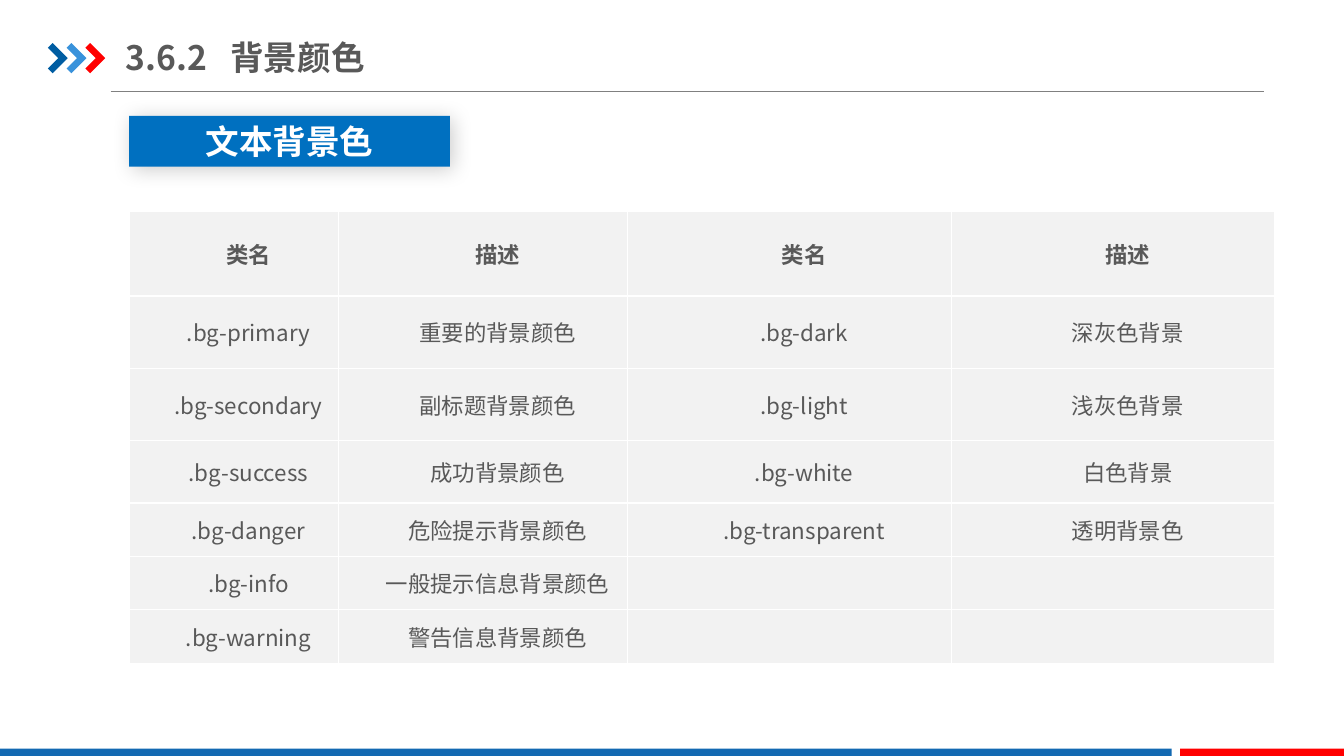
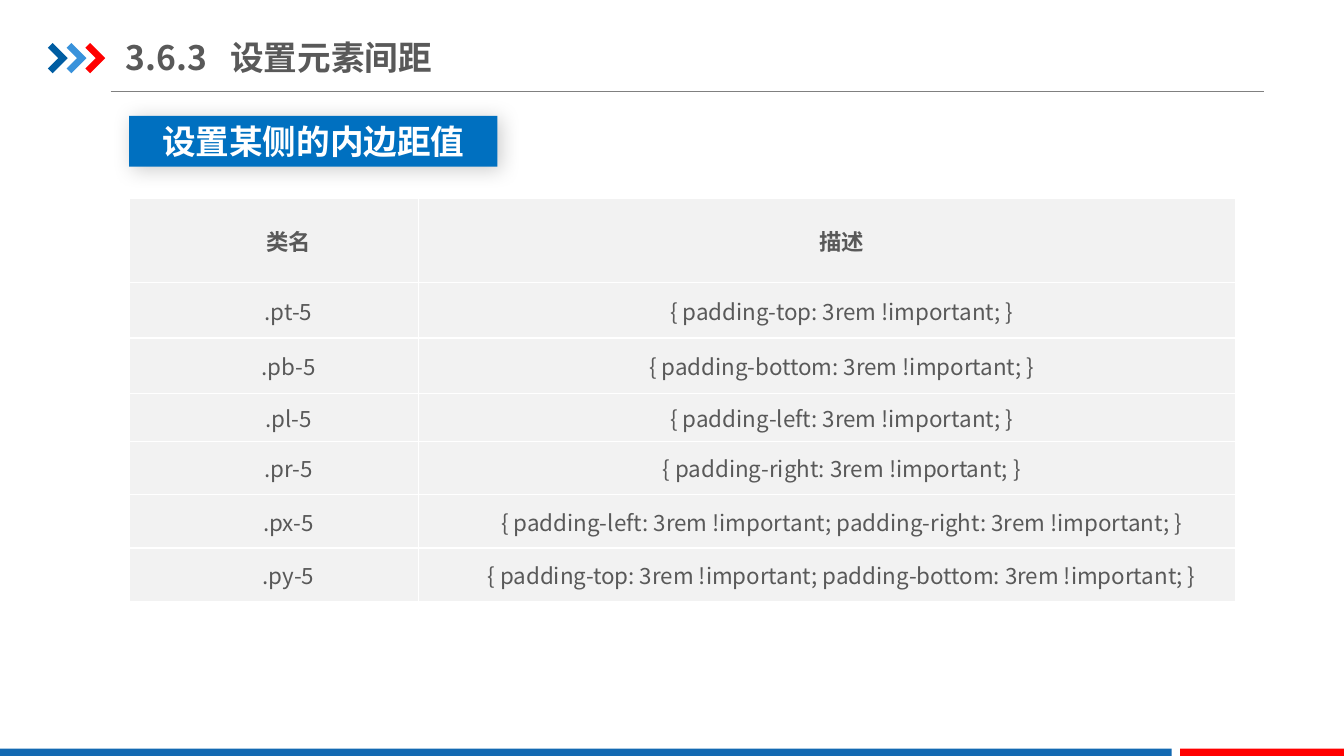
import lxml.etree
import pptx
import pptx.dml.color
import pptx.enum.shapes
import pptx.enum.text
import pptx.oxml
import pptx.oxml.ns
import pptx.util
from dataclasses import dataclass

Pt = pptx.util.Pt
qn = pptx.oxml.ns.qn
ALIGN = pptx.enum.text.PP_ALIGN
MIDDLE = pptx.enum.text.MSO_ANCHOR.MIDDLE
RECT = pptx.enum.shapes.MSO_SHAPE.RECTANGLE


@dataclass(frozen=True)
class Theme:
    font: str = "Noto Sans CJK SC"
    text: str = "595959"
    white: str = "FFFFFF"
    rule: str = "808080"
    cell: str = "F2F2F2"
    badge: str = "0070C0"
    band: str = "1369B2"
    red: str = "FF0000"
    chevrons: tuple = ("005DA2", "3992DB", "FF0000")
    heading_size: float = 24
    table_size: float = 16


T = Theme()


def rgb(value):
    return pptx.dml.color.RGBColor.from_string(value)


def add_xml(parent, tag, **attrs):
    return lxml.etree.SubElement(parent, qn(tag), attrs)


def set_text(tf, text, size=T.table_size, color=T.text, bold=False,
             align=ALIGN.CENTER, insets=(7.2, 3.6), indent=0, tab=None):
    """Write one formatted paragraph into a text frame."""
    tf.word_wrap = True
    tf.auto_size = pptx.enum.text.MSO_AUTO_SIZE.NONE
    tf.vertical_anchor = MIDDLE
    tf.margin_left = tf.margin_right = Pt(insets[0])
    tf.margin_top = tf.margin_bottom = Pt(insets[1])
    p = tf.paragraphs[0]
    p.alignment = align
    pPr = p._p.get_or_add_pPr()
    if indent:
        pPr.set("marL", "0")
        pPr.set("indent", str(Pt(indent)))
    if tab:
        add_xml(add_xml(pPr, "a:tabLst"), "a:tab", pos=str(Pt(tab)), algn="l")
    r = p.add_run()
    r.text = text
    r.font.size, r.font.bold, r.font.name = Pt(size), bold, T.font
    r.font.color.rgb = rgb(color)
    add_xml(r._r.get_or_add_rPr(), "a:ea", typeface=T.font)


def paint(sp, color):
    sp.shadow.inherit = False
    sp.fill.solid()
    sp.fill.fore_color.rgb = rgb(color)
    sp.line.fill.background()


def add_rect(s, x, y, w, h, color):
    sp = s.shapes.add_shape(RECT, Pt(x), Pt(y), Pt(w), Pt(h))
    paint(sp, color)
    return sp


def add_chevrons(s, x, y, w=14.2, h=21.6, step=13.4):
    """Row of three arrowheads, the first with its corner at x, y."""
    notch, arm = 3.4, 7.4
    outline = [(0, notch), (notch, 0), (w, h / 2), (notch, h),
               (0, h - notch), (arm, h / 2)]
    group = s.shapes.add_group_shape()
    for i, color in enumerate(T.chevrons):
        points = [(Pt(x + i * step + dx), Pt(y + dy)) for dx, dy in outline]
        builder = group.shapes.build_freeform(*points[0])
        builder.add_line_segments(points[1:], close=True)
        paint(builder.convert_to_shape(), color)


def add_frame(s, width=960, bottom=541):
    """Header mark and rule, and the footer bands."""
    line = s.shapes.add_connector(pptx.enum.shapes.MSO_CONNECTOR.STRAIGHT,
                                  Pt(79), Pt(65.4), Pt(903), Pt(65.4))
    line.line.width = Pt(0.75)
    line.line.color.rgb = rgb(T.rule)
    add_xml(line._element.spPr, "a:effectLst")
    add_chevrons(s, 34.2, 30.8)
    split, gap, h = 837, 6, 6.2
    add_rect(s, 0, bottom - h, split, h, T.band)
    add_rect(s, split + gap, bottom - h, width - split - gap, h, T.red)


def add_title(s, number, title):
    sp = s.shapes.title
    sp.left, sp.top, sp.width, sp.height = Pt(90), Pt(21), Pt(306.6), Pt(39.6)
    set_text(sp.text_frame, f"{number}\t{title}", size=T.heading_size, bold=True,
             align=ALIGN.LEFT, insets=(0, 5), tab=74.5)


def add_badge(s, text, x, y, w, h=36.2):
    """Blue label with a soft shadow."""
    sp = add_rect(s, x, y, w, h, T.badge)
    shadow = add_xml(sp._element.spPr.find(qn("a:effectLst")), "a:outerShdw",
                     blurRad=str(Pt(15)), dist=str(Pt(3)), dir="2700000",
                     algn="tl", rotWithShape="0")
    color = add_xml(shadow, "a:srgbClr", val="000000")
    add_xml(color, "a:alpha", val="20000")
    set_text(sp.text_frame, text, size=T.heading_size, color=T.white, bold=True)


def style_cell(cell):
    """White borders on every side, then the grey fill."""
    tcPr = cell._tc.get_or_add_tcPr()
    for side in ("a:lnL", "a:lnR", "a:lnT", "a:lnB"):
        ln = add_xml(tcPr, side, w=str(Pt(1)))
        add_xml(add_xml(ln, "a:solidFill"), "a:srgbClr", val=T.white)
    cell.fill.solid()
    cell.fill.fore_color.rgb = rgb(T.cell)


def add_class_table(s, x, y, widths, heights, rows):
    table = s.shapes.add_table(len(rows), len(widths), Pt(x), Pt(y),
                               Pt(sum(widths)), Pt(sum(heights))).table
    table.first_row = table.horz_banding = False
    for column, w in zip(table.columns, widths):
        column.width = Pt(w)
    for i, (values, h) in enumerate(zip(rows, heights)):
        table.rows[i].height = Pt(h)
        for j, value in enumerate(values):
            cell = table.cell(i, j)
            style_cell(cell)
            cell.vertical_anchor = MIDDLE
            cell.margin_left = cell.margin_right = Pt(5.4)
            cell.margin_top = cell.margin_bottom = 0
            if value:
                set_cell_text(cell, value, bold=i == 0)


def set_cell_text(cell, value, bold):
    anchor, insets = cell.vertical_anchor, (cell.margin_left.pt, cell.margin_top.pt)
    set_text(cell.text_frame, value, bold=bold, insets=insets, indent=21)
    # Cell layout belongs to the cell, so its text body keeps plain properties
    body = cell.text_frame._txBody.bodyPr
    body.attrib.clear()
    for child in list(body):
        body.remove(child)
    cell.vertical_anchor = anchor


def add_table_slide(prs, number, title, badge, badge_width, table_top,
                    widths, heights, rows):
    s = prs.slides.add_slide(prs.slide_layouts[5])
    left = 92.3
    add_frame(s)
    add_class_table(s, left, table_top, widths, heights, rows)
    add_badge(s, badge, left, 82.8, badge_width)
    add_title(s, number, title)


BACKGROUND_ROWS = [
    ("类名", "描述", "类名", "描述"),
    (".bg-primary", "重要的背景颜色", ".bg-dark", "深灰色背景"),
    (".bg-secondary", "副标题背景颜色", ".bg-light", "浅灰色背景"),
    (".bg-success", "成功背景颜色", ".bg-white", "白色背景"),
    (".bg-danger", "危险提示背景颜色", ".bg-transparent", "透明背景色"),
    (".bg-info", "一般提示信息背景颜色", "", ""),
    (".bg-warning", "警告信息背景颜色", "", ""),
]
PADDING_SIDES = [
    (".pt-5", ("top",)), (".pb-5", ("bottom",)), (".pl-5", ("left",)),
    (".pr-5", ("right",)), (".px-5", ("left", "right")),
    (".py-5", ("top", "bottom")),
]
PADDING_ROWS = [("类名", "描述")] + [
    (name, "{ " + " ".join(f"padding-{side}: 3rem !important;" for side in sides) + " }")
    for name, sides in PADDING_SIDES
]


def main():
    prs = pptx.Presentation()
    prs.slide_width, prs.slide_height = Pt(960), Pt(540)
    add_table_slide(prs, "3.6.2", "背景颜色", "文本背景色", 229, 151.2,
                    (149.4, 206.6, 231.2, 231.2),
                    (60.3, 51.6, 51.6, 44.6, 38.2, 38.2, 38.2), BACKGROUND_ROWS)
    add_table_slide(prs, "3.6.3", "设置元素间距", "设置某侧的内边距值", 263, 141.6,
                    (206.6, 584),
                    (60.3, 39.6, 39.6, 34, 38.2, 38.2, 38.2), PADDING_ROWS)
    prs.save("out.pptx")


if __name__ == "__main__":
    main()
